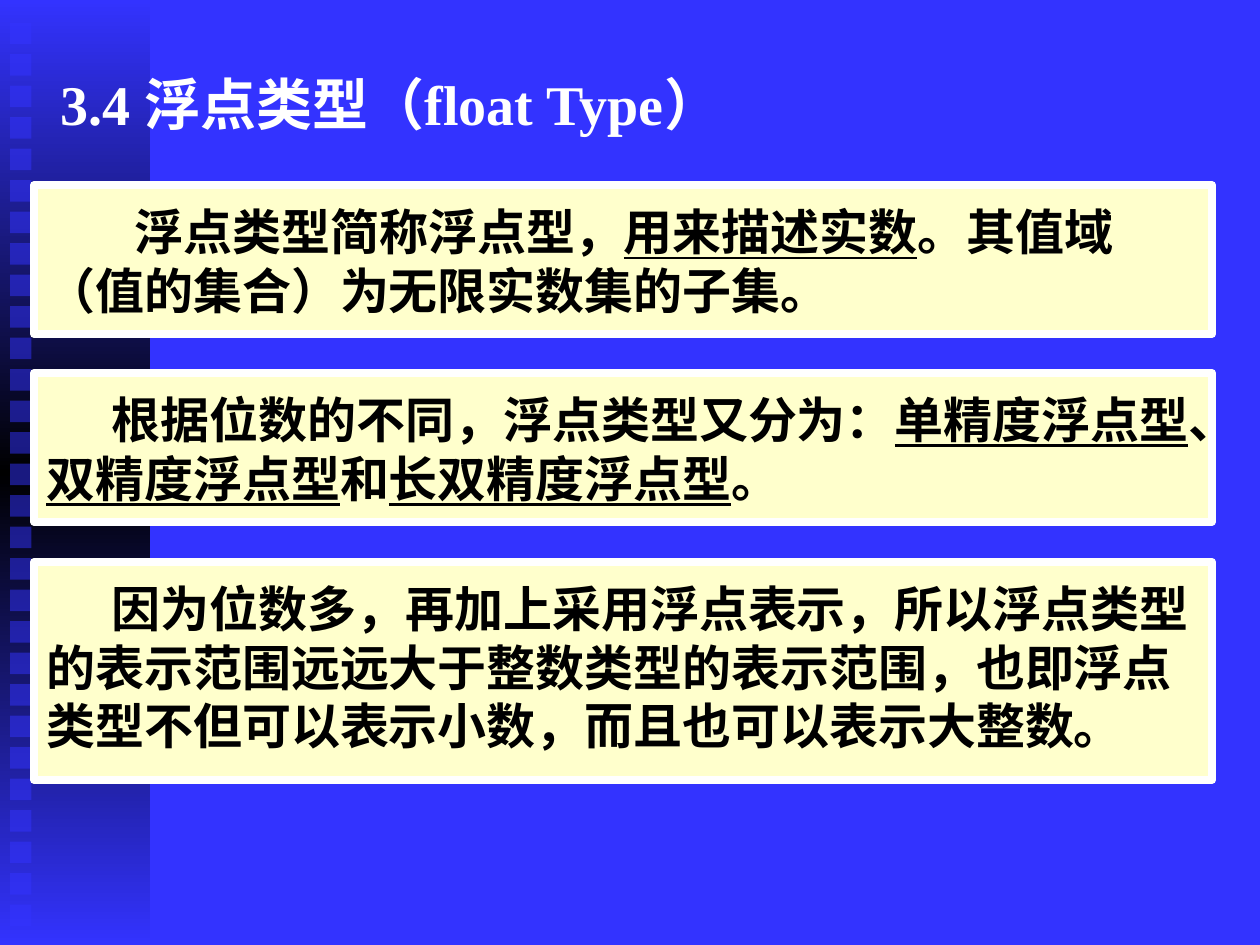
from copy import deepcopy

from lxml.etree import SubElement
from pptx import Presentation
from pptx.dml.color import RGBColor
from pptx.enum.lang import MSO_LANGUAGE_ID
from pptx.enum.shapes import MSO_SHAPE
from pptx.enum.text import MSO_ANCHOR, PP_ALIGN
from pptx.oxml.ns import qn
from pptx.util import Inches, Pt

BLUE, BLACK, WHITE, CREAM = "3333FF", "000000", "FFFFFF", "FFFFCC"
BASE_FONT = {"name": "Times New Roman", "bold": True,
             "language_id": MSO_LANGUAGE_ID.SIMPLIFIED_CHINESE}
TITLE_FONT = {**BASE_FONT, "size": Pt(32)}
BODY_FONT = {**BASE_FONT, "size": Pt(28)}
TITLE_FRAME = {"word_wrap": True, "vertical_anchor": MSO_ANCHOR.MIDDLE}
PANEL_FRAME = {"word_wrap": True, "vertical_anchor": MSO_ANCHOR.TOP,
               "margin_top": Inches(0.13)}

PANELS = [
    (1.47, 1.18, 0.7, [("浮点类型简称浮点型，", False), ("用来描述实数", True),
                       ("。其值域（值的集合）为无限实数集的子集。", False)]),
    (2.96, 1.18, 0.52, [("根据位数的不同，浮点类型又分为：", False),
                        ("单精度浮点型", True), ("、", False),
                        ("双精度浮点型", True), ("和", False),
                        ("长双精度浮点型", True), ("。", False)]),
    (4.46, 1.73, 0.52, [("因为位数多，再加上采用浮点表示，所以浮点类型的表示范围"
                         "远远大于整数类型的表示范围，也即浮点类型不但可以表示小数，"
                         "而且也可以表示大整数。", False)]),
]


def color(hex_value):
    """Return the colour for a hex string."""
    return RGBColor.from_string(hex_value)


def apply(target, values):
    """Set each attribute of the target from a dict."""
    for name, value in values.items():
        setattr(target, name, value)


def add_rectangle(slide, left, top, width, height, fill):
    """Add a flat rectangle without outline."""
    rectangle = slide.shapes.add_shape(
        MSO_SHAPE.RECTANGLE, Inches(left), Inches(top), Inches(width), Inches(height))
    rectangle.shadow.inherit = False
    rectangle.fill.solid()
    rectangle.fill.fore_color.rgb = color(fill)
    rectangle.line.fill.background()
    return rectangle


def write_paragraph(frame, frame_format, font_format, font_color, indent, phrases):
    """Write phrases, some underlined, as one indented paragraph."""
    apply(frame, frame_format)
    paragraph = frame.paragraphs[0]
    paragraph.alignment = PP_ALIGN.LEFT
    paragraph._p.get_or_add_pPr().set("indent", str(Inches(indent)))
    for wording, underlined in phrases:
        run = paragraph.add_run()
        run.text = wording
        apply(run.font, {**font_format, "underline": underlined})
        run.font.color.rgb = color(font_color)


def add_side_band(slide, left, top, width, height):
    """Draw the shaded band with its column of translucent squares."""
    band = add_rectangle(slide, left, top, width, height, BLUE)
    band.fill.gradient()
    band.fill.gradient_angle = 270
    first, last = band.fill.gradient_stops
    for stop, position in ((first, 0), (last, 1)):
        stop.color.rgb = color(BLUE)
        stop.position = position
    stop_list = band.element.spPr.find(qn("a:gradFill")).find(qn("a:gsLst"))
    stop_list.insert(1, deepcopy(stop_list[0]))
    middle = band.fill.gradient_stops[1]
    middle.color.rgb = color(BLACK)
    middle.position = 0.5
    for row in range(29):
        square = add_rectangle(slide, left + 0.08, top + 0.18 + row * 0.25, 0.17, 0.17, BLUE)
        square_color = next(square.element.spPr.iter(qn("a:srgbClr")))
        SubElement(square_color, qn("a:alpha")).set("val", "50000")


def add_title(slide, left, top, width, height):
    """Place the section heading."""
    heading = slide.shapes.add_textbox(
        Inches(left), Inches(top), Inches(width), Inches(height))
    write_paragraph(heading.text_frame, TITLE_FRAME, TITLE_FONT, WHITE, 0.11,
                    [("3.4 浮点类型（float Type）", False)])


def add_panel(slide, left, top, width, height, indent, phrases):
    """Place one cream panel with its statement."""
    panel = add_rectangle(slide, left, top, width, height, CREAM)
    panel.line.color.rgb = color(WHITE)
    panel.line.width = Pt(4.5)
    write_paragraph(panel.text_frame, PANEL_FRAME, BODY_FONT, BLACK, indent, phrases)


def main():
    """Build and save the slide."""
    presentation = Presentation()
    apply(presentation, {"slide_width": Inches(10), "slide_height": Inches(7.5)})
    slide = presentation.slides.add_slide(presentation.slide_layouts[6])
    slide.background.fill.solid()
    slide.background.fill.fore_color.rgb = color(BLUE)
    add_side_band(slide, 0, 0, 1.19, 7.5)
    add_title(slide, 0.27, 0.44, 8.5, 0.75)
    for top, height, indent, phrases in PANELS:
        add_panel(slide, 0.27, top, 9.35, height, indent, phrases)
    presentation.save("out.pptx")


if __name__ == "__main__":
    main()
